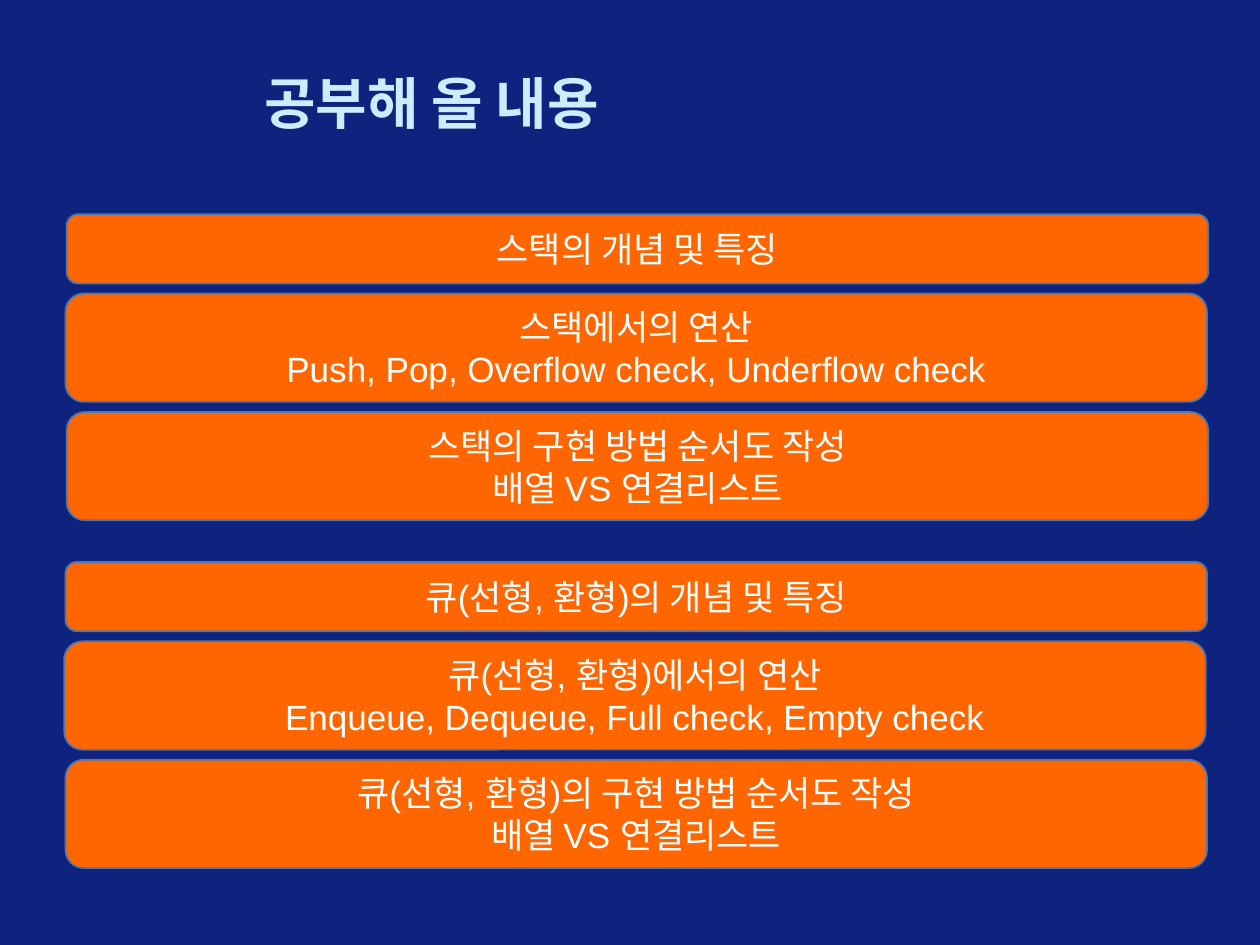
from pptx import Presentation
from pptx.dml.color import RGBColor
from pptx.enum.shapes import MSO_SHAPE
from pptx.enum.text import MSO_ANCHOR, PP_ALIGN
from pptx.util import Inches, Pt

ROUND = MSO_SHAPE.ROUNDED_RECTANGLE
MIDDLE = MSO_ANCHOR.MIDDLE
LEFT, CENTER = PP_ALIGN.LEFT, PP_ALIGN.CENTER
COLORS = {"back": "0E237E", "title": "CCECFF", "bar": "FF6600",
          "edge": "5375A7", "text": "FFFFFF"}
COLS, ROWS = 100, 75
GAP = 0.8
LINE_ROWS = {1: 5.5, 2: 8.6}
TOPICS = [
    (5.3, 17, [
        ["스택의 개념 및 특징"],
        ["스택에서의 연산", "Push, Pop, Overflow check, Underflow check"],
        ["스택의 구현 방법 순서도 작성", "배열 VS 연결리스트"],
    ]),
    (5.2, 44.6, [
        ["큐(선형, 환형)의 개념 및 특징"],
        ["큐(선형, 환형)에서의 연산", "Enqueue, Dequeue, Full check, Empty check"],
        ["큐(선형, 환형)의 구현 방법 순서도 작성", "배열 VS 연결리스트"],
    ]),
]


def color(name):
    return RGBColor.from_string(COLORS[name])


def write(frame, lines, size=20, tint="text", bold=False, align=CENTER):
    frame.word_wrap = True
    frame.vertical_anchor = MIDDLE
    for i, line in enumerate(lines):
        para = frame.paragraphs[0] if i == 0 else frame.add_paragraph()
        para.alignment = align
        run = para.add_run()
        run.text = line
        run.font.name = "Arial"
        run.font.size = Pt(size)
        run.font.bold = bold
        run.font.color.rgb = color(tint)


class Deck:
    def __init__(self):
        self.prs = Presentation()
        self.prs.slide_width = Inches(10)
        self.prs.slide_height = Inches(7.5)
        self.slide = self.prs.slides.add_slide(self.prs.slide_layouts[6])
        fill = self.slide.background.fill
        fill.solid()
        fill.fore_color.rgb = color("back")

    def place(self, col, row, wide, high):
        unit_x = self.prs.slide_width / COLS
        unit_y = self.prs.slide_height / ROWS
        return (round(col * unit_x), round(row * unit_y),
                round(wide * unit_x), round(high * unit_y))

    def title(self, text, *spot):
        box = self.slide.shapes.add_textbox(*self.place(*spot))
        write(box.text_frame, [text], size=32, tint="title", bold=True, align=LEFT)

    def bar(self, lines, *spot):
        bar = self.slide.shapes.add_shape(ROUND, *self.place(*spot))
        bar.shadow.inherit = False
        bar.fill.solid()
        bar.fill.fore_color.rgb = color("bar")
        bar.line.color.rgb = color("edge")
        bar.line.width = Pt(1)
        write(bar.text_frame, lines)

    def stack(self, col, row, bars):
        for i, lines in enumerate(bars):
            high = LINE_ROWS[len(lines)]
            shift = 0.1 if i == 1 else 0
            self.bar(lines, col - shift, row, 90.6, high)
            row += high + GAP


def main():
    deck = Deck()
    deck.title("공부해 올 내용", 20, 5, 75.8, 6.2)
    for col, row, bars in TOPICS:
        deck.stack(col, row, bars)
    deck.prs.save("out.pptx")


if __name__ == "__main__":
    main()
